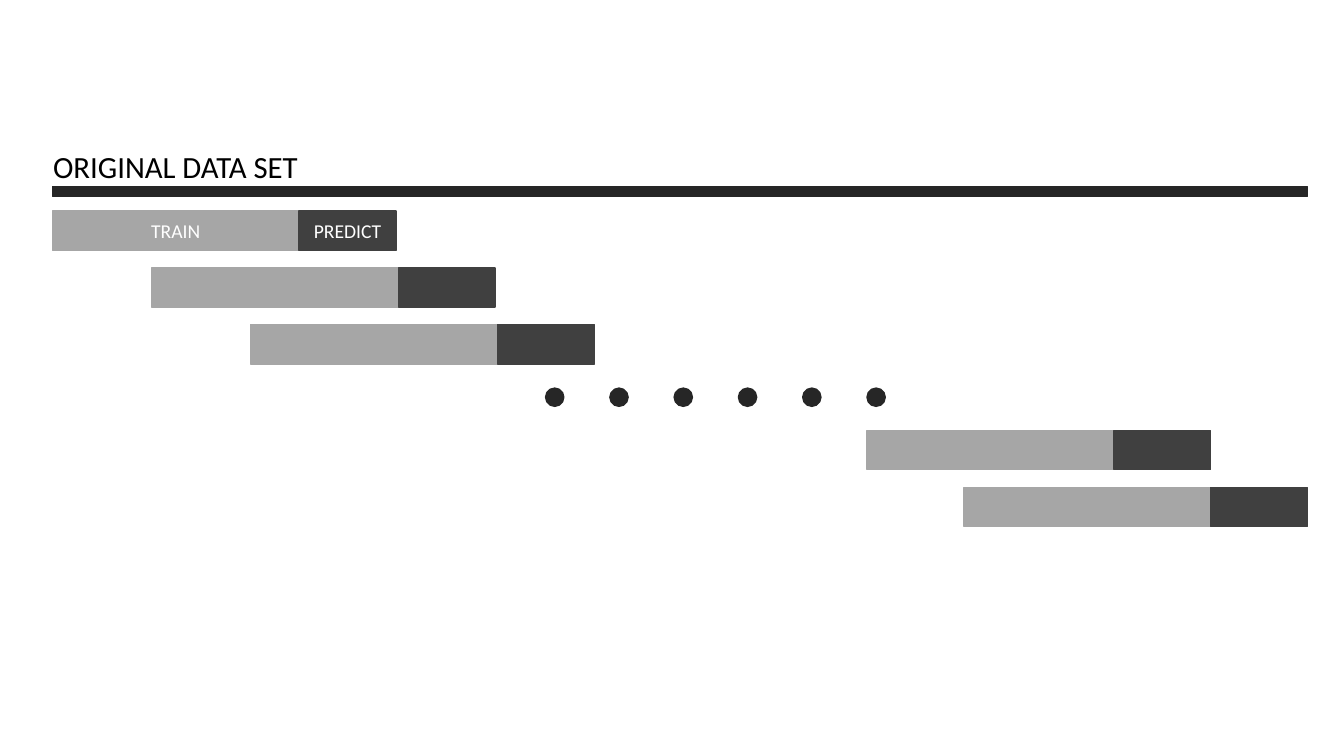
from pptx import Presentation
from pptx.dml.color import RGBColor
from pptx.enum.shapes import MSO_SHAPE
from pptx.enum.text import MSO_ANCHOR, MSO_AUTO_SIZE, PP_ALIGN
from pptx.util import Cm, Pt

RECTANGLE, OVAL = MSO_SHAPE.RECTANGLE, MSO_SHAPE.OVAL
MIDDLE, CENTER = MSO_ANCHOR.MIDDLE, PP_ALIGN.CENTER
FIT_SHAPE = MSO_AUTO_SIZE.SHAPE_TO_FIT_TEXT

FONT = "Calibri"
COLORS = {
    "train": "A6A6A6",
    "predict": "404040",
    "data": "262626",
    "title": "000000",
    "label": "FFFFFF",
}

# Lengths in centimetres
DATA_LEFT, DATA_WIDTH = 1.32, 31.63
TRAIN_WIDTH, PREDICT_WIDTH, WINDOW_HEIGHT = 6.22, 2.44, 0.99
WINDOW_WIDTH = TRAIN_WIDTH + PREDICT_WIDTH
ROW_STEP = 1.43


def write(shape, text, size, color):
    paragraph = shape.text_frame.paragraphs[0]
    paragraph.text = text
    paragraph.font.name = FONT
    paragraph.font.size = Pt(size)
    paragraph.font.color.rgb = RGBColor.from_string(COLORS[color])
    return paragraph


def add_block(slide, kind, left, top, width, height, color, label=""):
    shape = slide.shapes.add_shape(kind, Cm(left), Cm(top), Cm(width), Cm(height))
    shape.shadow.inherit = False
    shape.fill.solid()
    shape.fill.fore_color.rgb = RGBColor.from_string(COLORS[color])
    shape.line.color.rgb = RGBColor.from_string(COLORS[color])
    shape.line.width = Pt(1)
    if label:
        shape.text_frame.vertical_anchor = MIDDLE
        write(shape, label, 14, "label").alignment = CENTER


def add_data_set(slide, left, top, width):
    """Title above the bar for the whole data set."""
    title = slide.shapes.add_textbox(Cm(left - 0.23), Cm(top), Cm(8.97), Cm(1.19))
    title.text_frame.word_wrap = True
    title.text_frame.auto_size = FIT_SHAPE
    write(title, "ORIGINAL DATA SET", 22, "title")
    add_block(slide, RECTANGLE, left, top + 1.09, width, 0.25, "data")


def add_window(slide, left, top, train_label="", predict_label=""):
    """Training span followed by its prediction span."""
    add_block(slide, RECTANGLE, left, top, TRAIN_WIDTH, WINDOW_HEIGHT,
              "train", train_label)
    add_block(slide, RECTANGLE, left + TRAIN_WIDTH, top, PREDICT_WIDTH,
              WINDOW_HEIGHT, "predict", predict_label)


def add_windows(slide, left, top, step, labels):
    """Staircase of windows, one for each pair of labels."""
    for row, (train_label, predict_label) in enumerate(labels):
        add_window(slide, left + row * step, top + row * ROW_STEP,
                   train_label, predict_label)


def add_dots(slide, left, top, width, count=6, diameter=0.46):
    """Evenly spaced dots for the windows left out."""
    step = (width - diameter) / (count - 1)
    for index in range(count):
        add_block(slide, OVAL, left + index * step, top, diameter, diameter, "data")


presentation = Presentation()
presentation.slide_width = Cm(33.87)
presentation.slide_height = Cm(19.05)
slide = presentation.slides.add_slide(presentation.slide_layouts[6])

add_data_set(slide, DATA_LEFT, 3.61, DATA_WIDTH)

# First windows, then the gap, then the last windows ending with the data
add_windows(slide, DATA_LEFT, 5.32, 2.5, [("TRAIN", "PREDICT"), ("", ""), ("", "")])
add_dots(slide, 13.75, 9.78, 8.56)
last_left = DATA_LEFT + DATA_WIDTH - WINDOW_WIDTH - PREDICT_WIDTH
add_windows(slide, last_left, 10.85, PREDICT_WIDTH, [("", ""), ("", "")])

presentation.save("out.pptx")
